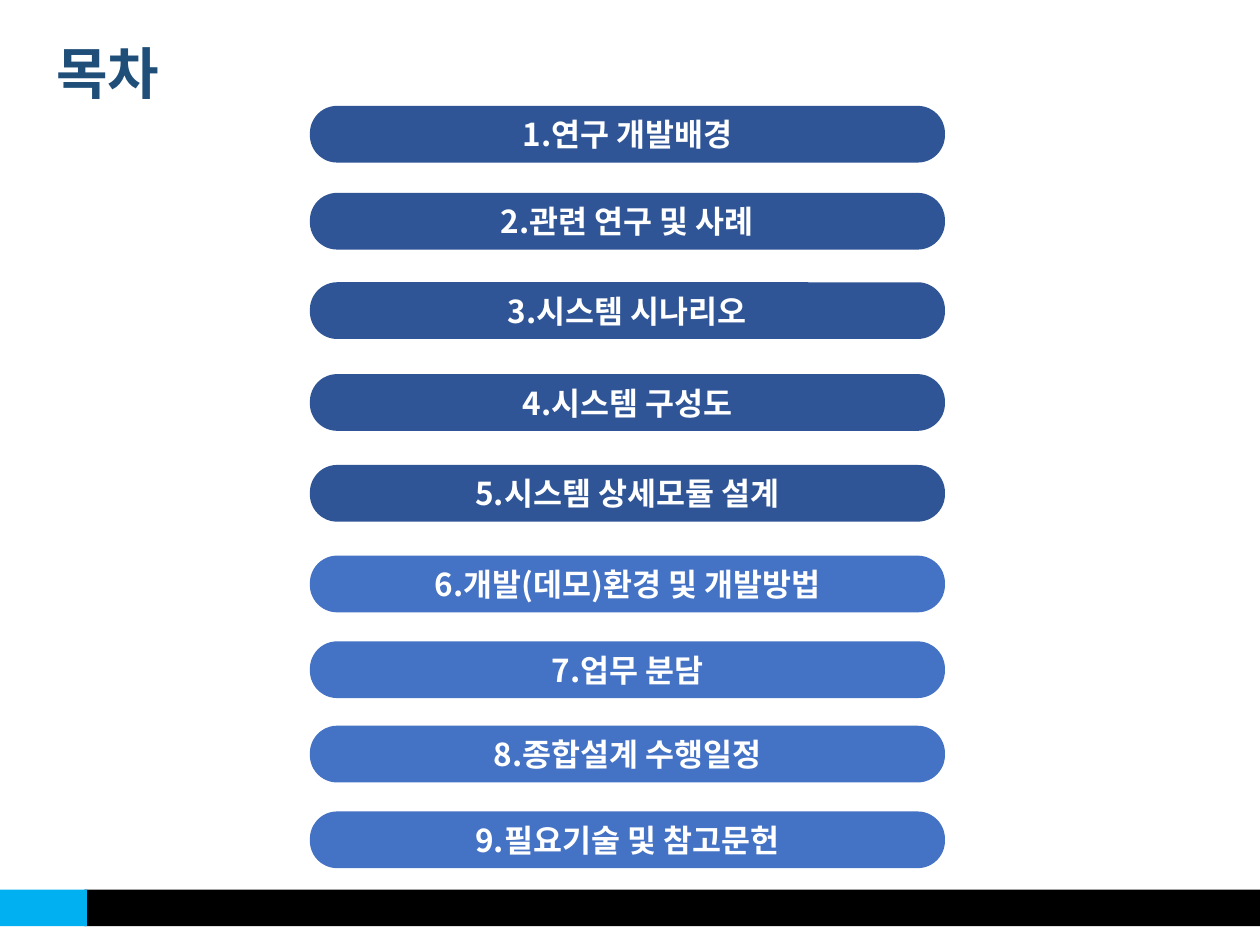
import pptx
import pptx.util
import pptx.dml.color
import pptx.enum.shapes
import pptx.enum.text
import pptx.oxml.ns
import lxml.etree

Pt = pptx.util.Pt
Shape = pptx.enum.shapes.MSO_SHAPE
Align = pptx.enum.text.PP_ALIGN
Anchor = pptx.enum.text.MSO_ANCHOR

# Content: title, then the top and wording of each topic
title = "목차"
topics = [
    (60.5, "연구 개발배경"),
    (110.2, "관련 연구 및 사례"),
    (161.3, "시스템 시나리오"),
    (213.8, "시스템 구성도"),
    (265.7, "시스템 상세모듈 설계"),
    (317.5, "개발(데모)환경 및 개발방법"),
    (366.5, "업무 분담"),
    (414.7, "종합설계 수행일정"),
    (463.7, "필요기술 및 참고문헌"),
]
split = 5  # topics in the darker blue

theme = {
    "font": "Noto Sans CJK KR",
    "title": {"size": 32, "color": "1F4E79"},
    "topic": {"size": 18, "color": "FFFFFF"},
    "dark": "2F5597",
    "light": "4472C4",
    "bar": "000000",
    "accent": "00B0F0",
}


def rgb(code):
    return pptx.dml.color.RGBColor.from_string(code)


def block(kind, box, fill):
    item = slide.shapes.add_shape(kind, *map(Pt, box))
    item.shadow.inherit = False
    item.fill.solid()
    item.fill.fore_color.rgb = rgb(fill)
    item.line.fill.background()
    return item


def write(item, text, style, align, **frame):
    for name, value in frame.items():
        setattr(item.text_frame, name, value)
    para = item.text_frame.paragraphs[0]
    para.alignment = align
    run = para.add_run()
    run.text = text
    look = {"size": Pt(style["size"]), "bold": True, "name": theme["font"]}
    for name, value in look.items():
        setattr(run.font, name, value)
    run.font.color.rgb = rgb(style["color"])
    # Korean glyphs take the East Asian typeface
    east = lxml.etree.SubElement(run._r.get_or_add_rPr(), pptx.oxml.ns.qn("a:ea"))
    east.set("typeface", theme["font"])


# Slide
deck = pptx.Presentation()
deck.slide_width, deck.slide_height = Pt(720), Pt(540)
slide = deck.slides.add_slide(deck.slide_layouts[6])

# Footer band
block(Shape.RECTANGLE, (48.2, 508.3, 680.4, 20.9), theme["bar"])
block(Shape.RECTANGLE, (0, 508.3, 49.7, 20.9), theme["accent"])

# Title
head = slide.shapes.add_textbox(*map(Pt, (25.2, 18.7, 172.8, 46.1)))
write(head, title, theme["title"], Align.LEFT, word_wrap=True,
      auto_size=pptx.enum.text.MSO_AUTO_SIZE.SHAPE_TO_FIT_TEXT)

# Topic pills
for num, (top, text) in enumerate(topics, 1):
    fill = theme["dark" if num <= split else "light"]
    pill = block(Shape.ROUNDED_RECTANGLE, (177.1, top, 362.9, 32.4), fill)
    pill.adjustments[0] = 0.48
    write(pill, f"{num}.{text}", theme["topic"], Align.CENTER,
          word_wrap=True, vertical_anchor=Anchor.MIDDLE)

deck.save("out.pptx")
